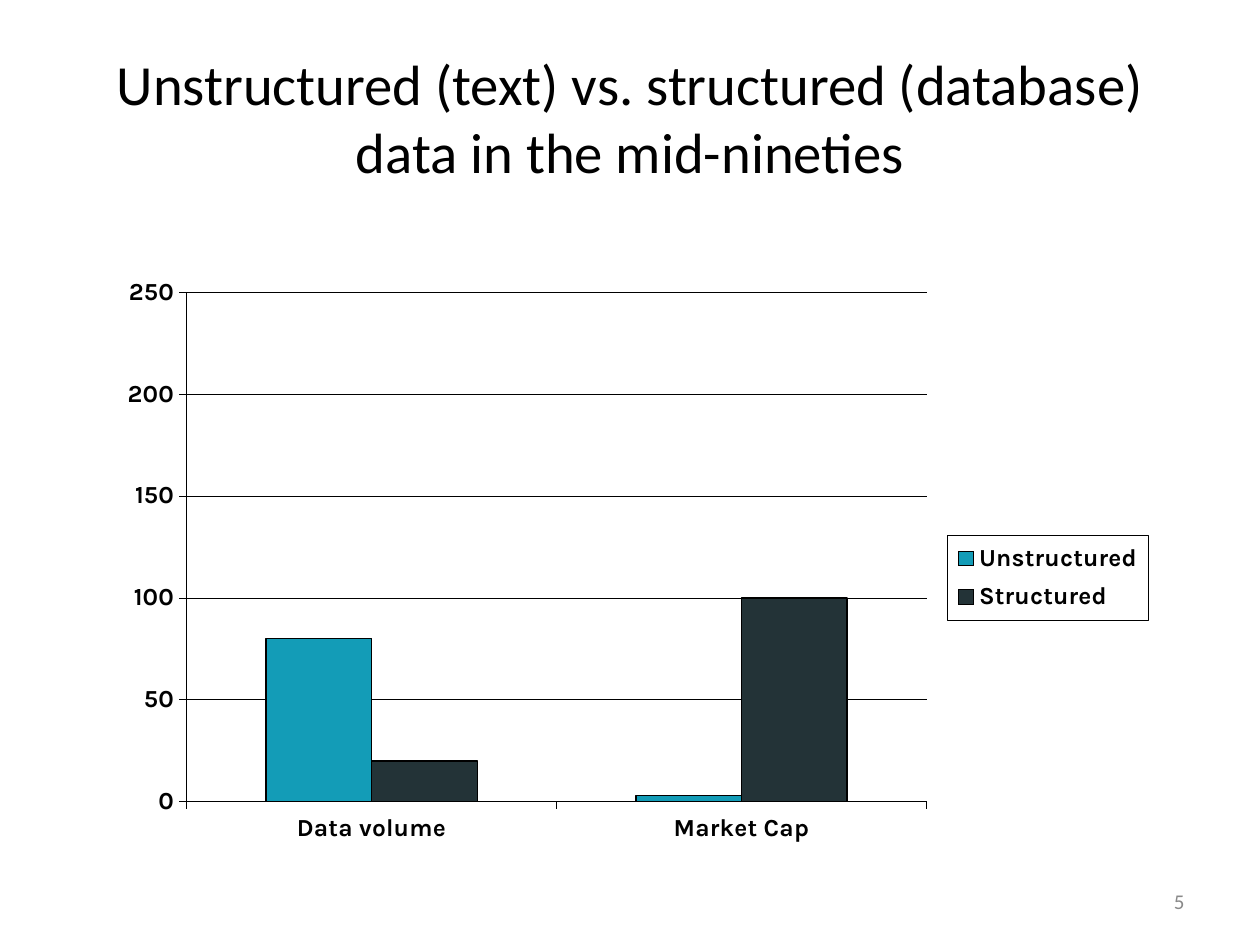
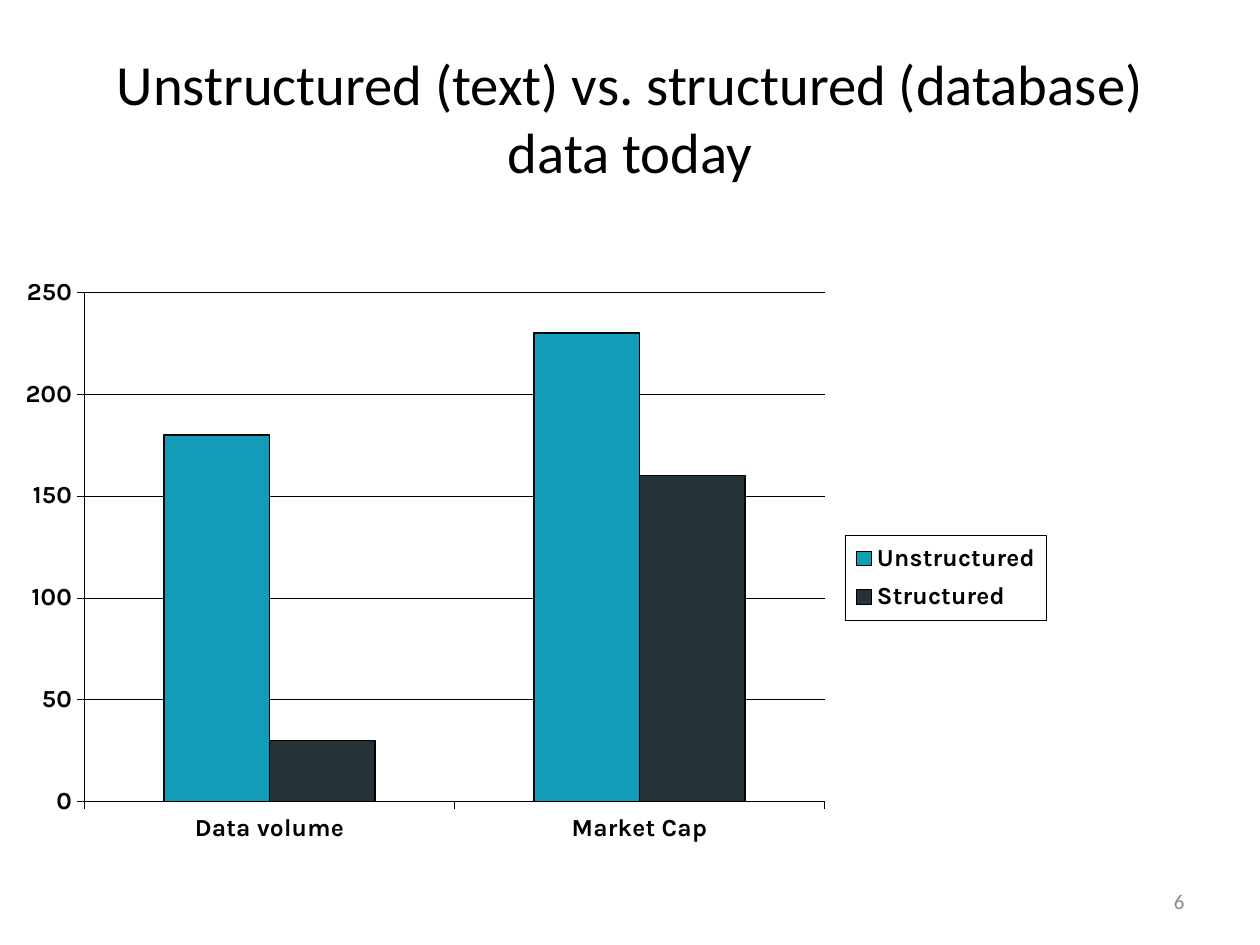
from dataclasses import dataclass

from lxml.etree import SubElement
from pptx import Presentation
from pptx.chart.data import CategoryChartData
from pptx.dml.color import RGBColor
from pptx.enum.chart import XL_CHART_TYPE, XL_LEGEND_POSITION, XL_TICK_LABEL_POSITION, XL_TICK_MARK
from pptx.enum.text import MSO_ANCHOR, PP_ALIGN
from pptx.oxml.ns import qn
from pptx.util import Inches, Pt

BLACK = "000000"
GREY = "898989"
SERIES_COLOURS = {"Unstructured": "139CB7", "Structured": "233337"}
CATEGORIES = ("Data volume", "Market Cap")
TEXT_FONT = "Calibri"
CHART_FONT = "Karla"
HAIRLINE = 0.23


@dataclass(frozen=True)
class TextStyle:
    left: float
    top: float
    width: float
    height: float
    size: float
    colour: str
    alignment: PP_ALIGN


@dataclass(frozen=True)
class Comparison:
    title: str
    number: int
    chart_left: float
    unstructured: tuple[int, int]
    structured: tuple[int, int]


TITLE = TextStyle(0.5, 0.3, 9, 1.25, 32.4, BLACK, PP_ALIGN.CENTER)
PAGE_NUMBER = TextStyle(7.17, 6.95, 2.33, 0.4, 12, GREY, PP_ALIGN.RIGHT)

COMPARISONS = (
    Comparison("Unstructured (text) vs. structured (database) data in the mid-nineties",
               5, 0.81, (80, 3), (20, 100)),
    Comparison("Unstructured (text) vs. structured (database) data today",
               6, 0, (180, 230), (30, 160)),
)


def rgb(colour: str) -> RGBColor:
    return RGBColor.from_string(colour)


def style_font(font, name: str, size: float, colour: str, bold: bool = False) -> None:
    font.name = name
    font.size = Pt(size)
    font.bold = bold
    font.color.rgb = rgb(colour)


def style_line(line, width: float) -> None:
    line.color.rgb = rgb(BLACK)
    line.width = Pt(width)


def add_text(slide, text: str, style: TextStyle) -> None:
    box = slide.shapes.add_textbox(Inches(style.left), Inches(style.top),
                                   Inches(style.width), Inches(style.height))
    frame = box.text_frame
    frame.word_wrap = True
    frame.vertical_anchor = MSO_ANCHOR.MIDDLE
    frame.text = text
    paragraph = frame.paragraphs[0]
    paragraph.alignment = style.alignment
    style_font(paragraph.runs[0].font, TEXT_FONT, style.size, style.colour)


def place(part, index: int, x: float, y: float, w: float, h: float, inner: bool = False) -> None:
    for previous in part.findall(qn("c:layout")):
        part.remove(previous)
    layout = SubElement(part, qn("c:layout"))
    part.insert(index, layout)
    manual = SubElement(layout, qn("c:manualLayout"))
    settings = {"layoutTarget": "inner"} if inner else {}
    settings |= {"xMode": "edge", "yMode": "edge", "x": x, "y": y, "w": w, "h": h}
    for tag, value in settings.items():
        SubElement(manual, qn(f"c:{tag}")).set("val", str(value))


def outline_legend(legend) -> None:
    properties = SubElement(legend, qn("c:spPr"))
    legend.find(qn("c:txPr")).addprevious(properties)
    line = SubElement(properties, qn("a:ln"), w=str(Pt(HAIRLINE)))
    fill = SubElement(line, qn("a:solidFill"))
    SubElement(fill, qn("a:srgbClr"), val=BLACK)


def style_axis(axis) -> None:
    axis.major_tick_mark = XL_TICK_MARK.OUTSIDE
    axis.minor_tick_mark = XL_TICK_MARK.NONE
    style_font(axis.tick_labels.font, CHART_FONT, 14, BLACK, True)
    style_line(axis.format.line, HAIRLINE)


def add_comparison_chart(slide, comparison: Comparison) -> None:
    data = CategoryChartData()
    data.categories = CATEGORIES
    values = (comparison.unstructured, comparison.structured)
    for name, series_values in zip(SERIES_COLOURS, values):
        data.add_series(name, series_values)
    chart = slide.shapes.add_chart(XL_CHART_TYPE.COLUMN_CLUSTERED,
                                   Inches(comparison.chart_left), Inches(2.15),
                                   Inches(8.39), Inches(4.87), data).chart
    chart.has_title = False
    style_font(chart.font, CHART_FONT, 8.5, BLACK, True)

    columns = chart.plots[0]
    columns.gap_width = 150
    columns.overlap = 0
    columns.vary_by_categories = False
    for series, colour in zip(columns.series, SERIES_COLOURS.values()):
        series.invert_if_negative = False
        series.format.fill.solid()
        series.format.fill.fore_color.rgb = rgb(colour)
        style_line(series.format.line, 0.92)

    style_axis(chart.category_axis)
    chart.category_axis.tick_label_position = XL_TICK_LABEL_POSITION.LOW
    scale = chart.value_axis
    style_axis(scale)
    scale.minimum_scale = 0
    scale.maximum_scale = 250
    scale.major_unit = 50
    scale.has_major_gridlines = True
    style_line(scale.major_gridlines.format.line, HAIRLINE)

    chart.has_legend = True
    chart.legend.position = XL_LEGEND_POSITION.RIGHT
    chart.legend.include_in_layout = False
    style_font(chart.legend.font, CHART_FONT, 14, BLACK, True)
    legend = chart.element.find(".//" + qn("c:legend"))
    outline_legend(legend)
    place(legend, 1, 0.8, 0.43, 0.19, 0.14)
    place(chart.element.find(".//" + qn("c:plotArea")), 0, 0.08, 0.035, 0.7, 0.83, True)


def main() -> None:
    presentation = Presentation()
    presentation.slide_width = Inches(10)
    presentation.slide_height = Inches(7.5)
    for comparison in COMPARISONS:
        slide = presentation.slides.add_slide(presentation.slide_layouts[6])
        add_text(slide, comparison.title, TITLE)
        add_text(slide, str(comparison.number), PAGE_NUMBER)
        add_comparison_chart(slide, comparison)
    presentation.save("out.pptx")


if __name__ == "__main__":
    main()
